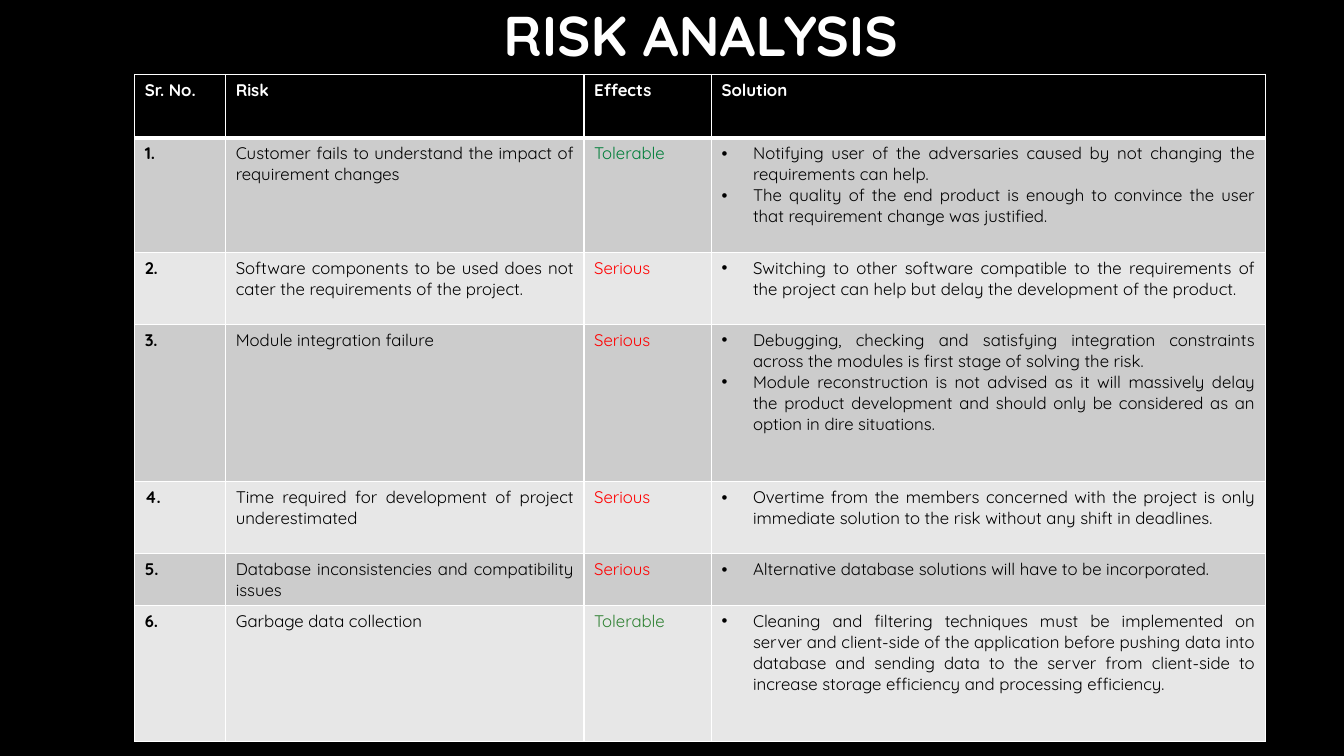
from dataclasses import dataclass

from lxml.etree import SubElement
from pptx import Presentation
from pptx.dml.color import RGBColor
from pptx.enum.text import MSO_ANCHOR, PP_ALIGN
from pptx.oxml.ns import qn
from pptx.util import Pt


@dataclass(frozen=True)
class Theme:
    font: str = "Quicksand"
    title_size: int = 40
    table_size: int = 12
    black: str = "000000"
    white: str = "FFFFFF"
    odd_row: str = "CCCCCC"
    even_row: str = "E7E7E7"
    serious: str = "FF0000"
    tolerable: str = "007E39"
    tolerable_soft: str = "2F8133"


theme = Theme()

HEADINGS = ["Sr. No.", "Risk", "Effects", "Solution"]
RISKS = [
    ("Customer fails to understand the impact of requirement changes",
     "Tolerable", theme.tolerable,
     ["Notifying user of the adversaries caused by not changing the requirements can help. ",
      "The quality of the end product is enough to convince the user that requirement "
      "change was justified."]),
    ("Software components to be used does not cater the requirements of the project. ",
     "Serious", theme.serious,
     ["Switching to other software compatible to the requirements of the project can help "
      "but delay the development of the product."]),
    ("Module integration failure",
     "Serious", theme.serious,
     ["Debugging, checking and satisfying integration constraints across the modules is "
      "first stage of solving the risk.",
      "Module reconstruction is not advised as it will massively delay the product "
      "development and should only be considered as an option in dire situations."]),
    ("Time required for development of project underestimated",
     "Serious", theme.serious,
     ["Overtime from the members concerned with the project is only immediate solution to "
      "the risk without any shift in deadlines."]),
    ("Database inconsistencies and compatibility issues",
     "Serious", theme.serious,
     ["Alternative database solutions will have to be incorporated."]),
    ("Garbage data collection",
     "Tolerable", theme.tolerable_soft,
     ["Cleaning and filtering techniques must be implemented on server and client-side of "
      "the application before pushing data into database and sending data to the server "
      "from client-side to increase storage efficiency and processing efficiency."]),
]
COLUMN_WIDTHS = [65, 256, 91, 395.8]
ROW_HEIGHTS = [45.4, 81.8, 51.5, 112.3, 51.5, 37, 97.2]
BULLET_INDENT = Pt(22.5)


def add_span(para, text, size, color, bold):
    span = para.add_run()
    span.text = text
    span.font.name = theme.font
    span.font.size = Pt(size)
    span.font.bold = bold
    span.font.color.rgb = RGBColor.from_string(color)


def fill_cell(cell, fill, lines, color, bold, bulleted, top, bottom):
    """Set text, fill and borders; top and bottom are border widths in points."""
    properties = cell._tc.get_or_add_tcPr()
    for side, width in (("L", 1), ("R", 1), ("T", top), ("B", bottom)):
        border = SubElement(properties, qn(f"a:ln{side}"), w=str(Pt(width)))
        solid = SubElement(border, qn("a:solidFill"))
        SubElement(solid, qn("a:srgbClr"), val=theme.white)
    cell.fill.solid()
    cell.fill.fore_color.rgb = RGBColor.from_string(fill)
    for index, line in enumerate(lines):
        frame = cell.text_frame
        para = frame.add_paragraph() if index else frame.paragraphs[0]
        para.alignment = PP_ALIGN.JUSTIFY
        add_span(para, line, theme.table_size, color, bold)
        if bulleted:
            settings = para._p.get_or_add_pPr()
            settings.set("marL", str(BULLET_INDENT))
            settings.set("indent", str(-BULLET_INDENT))
            SubElement(settings, qn("a:buFont"), typeface="Arial")
            SubElement(settings, qn("a:buChar"), char="•")


deck = Presentation()
deck.slide_width, deck.slide_height = Pt(960), Pt(540)
page = deck.slides.add_slide(deck.slide_layouts[6])
page.background.fill.solid()
page.background.fill.fore_color.rgb = RGBColor.from_string(theme.black)

# Title
title = page.shapes.add_textbox(Pt(86.4), Pt(0.7), Pt(828), Pt(53.3)).text_frame
title.word_wrap = True
title.vertical_anchor = MSO_ANCHOR.MIDDLE
heading = title.paragraphs[0]
heading.alignment = PP_ALIGN.CENTER
heading.line_spacing = 0.9
add_span(heading, "RISK ANALYSIS", theme.title_size, theme.white, True)

# Risk table
table = page.shapes.add_table(
    len(ROW_HEIGHTS), len(COLUMN_WIDTHS), Pt(96.2), Pt(53.2),
    Pt(sum(COLUMN_WIDTHS)), Pt(sum(ROW_HEIGHTS))).table
for column, width in zip(table.columns, COLUMN_WIDTHS):
    column.width = Pt(width)
for row, height in zip(table.rows, ROW_HEIGHTS):
    row.height = Pt(height)

for column, text in enumerate(HEADINGS):
    fill_cell(table.cell(0, column), theme.black, [text], theme.white, True, False, 1, 3)

for number, (risk, effect, effect_color, solutions) in enumerate(RISKS, start=1):
    fill = theme.odd_row if number % 2 else theme.even_row
    contents = [
        ([f"{number}."], theme.black, True, False),
        ([risk], theme.black, False, False),
        ([effect], effect_color, False, False),
        (solutions, theme.black, False, True),
    ]
    for column, (lines, color, bold, bulleted) in enumerate(contents):
        fill_cell(table.cell(number, column), fill, lines, color, bold, bulleted,
                  3 if number == 1 else 1, 1)

deck.save("out.pptx")
